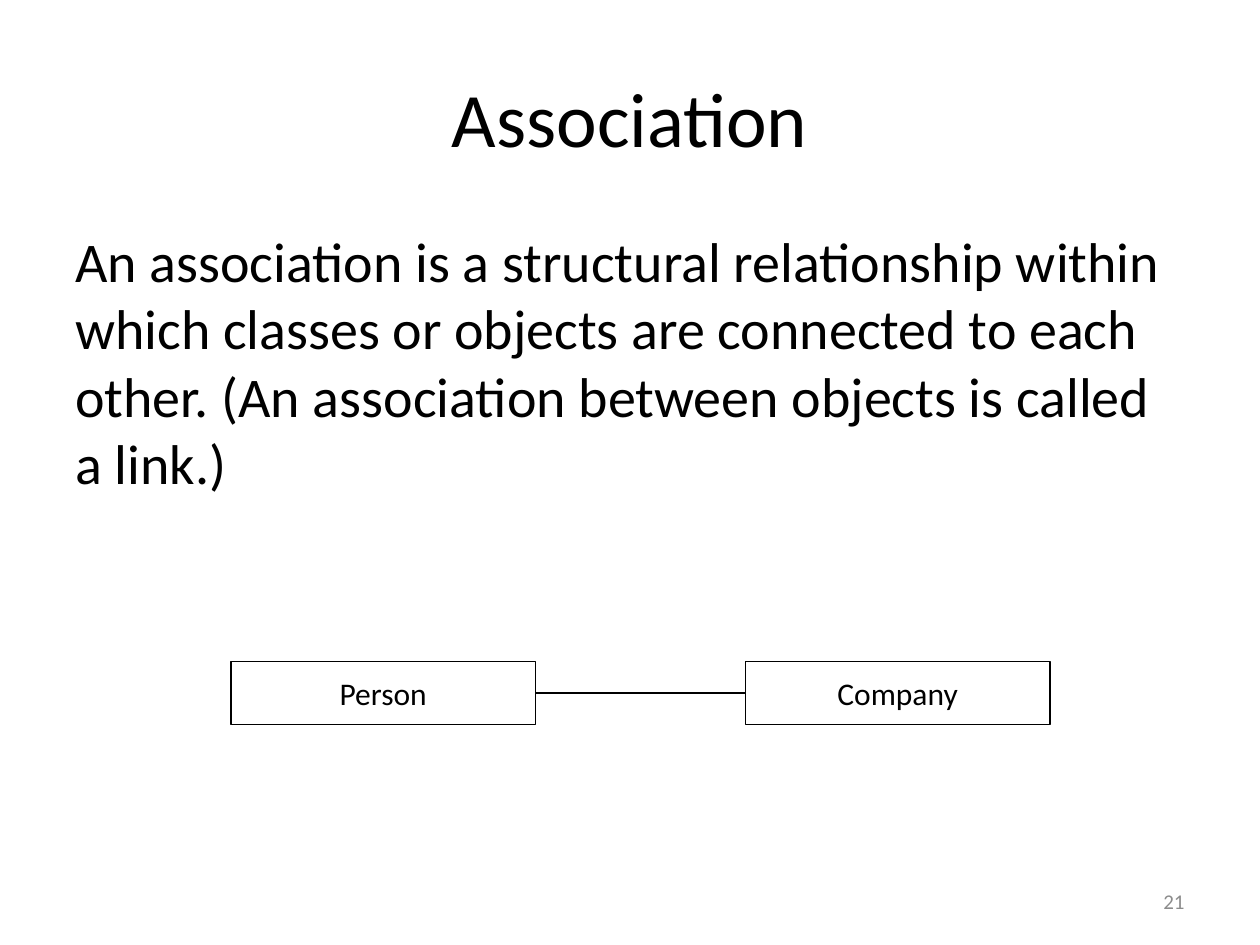
from dataclasses import dataclass

from pptx import Presentation
from pptx.dml.color import RGBColor
from pptx.enum.shapes import MSO_CONNECTOR as Connector, MSO_SHAPE as Preset
from pptx.enum.text import MSO_ANCHOR as Anchor, PP_ALIGN as Align
from pptx.oxml.ns import qn
from pptx.shapes.base import BaseShape
from pptx.slide import Slide
from pptx.util import Inches, Pt
from lxml.etree import SubElement

COLORS = {"ink": "000000", "paper": "FFFFFF", "muted": "8C8C8C"}
FONT = "Calibri"
UNIT = Inches(1) / 12
COLUMNS, ROWS = 120, 90
LINE_WIDTH = Pt(0.75)


@dataclass(frozen=True)
class Area:
    column: float
    row: float
    columns: float
    rows: float

    @property
    def right(self) -> float:
        return self.column + self.columns

    @property
    def middle(self) -> float:
        return self.row + self.rows / 2

    def lengths(self) -> list[int]:
        return [grid(n) for n in (self.column, self.row, self.columns, self.rows)]


@dataclass(frozen=True)
class ClassBox:
    name: str
    area: Area


PERSON = ClassBox("Person", Area(22, 63, 29, 6))
COMPANY = ClassBox("Company", Area(71, 63, 29, 6))
DEFINITION = (
    "An association is a structural relationship within which classes or objects "
    "are connected to each other. (An association between objects is called a link.)"
)


def grid(units: float) -> int:
    return round(units * UNIT)


def color(name: str) -> RGBColor:
    return RGBColor.from_string(COLORS[name])


def write(shape: BaseShape, text: str, *, size: float, ink: str = "ink",
          align: Align = Align.CENTER, anchor: Anchor = Anchor.MIDDLE,
          wrap: bool = True) -> None:
    frame = shape.text_frame
    frame.word_wrap = wrap
    frame.vertical_anchor = anchor
    para = frame.paragraphs[0]
    para.alignment = align
    span = para.add_run()
    span.text = text
    span.font.name = FONT
    span.font.size = Pt(size)
    span.font.color.rgb = color(ink)


def add_text(page: Slide, area: Area, text: str, **style) -> None:
    write(page.shapes.add_textbox(*area.lengths()), text, **style)


def draw_class(page: Slide, item: ClassBox) -> None:
    box = page.shapes.add_shape(Preset.RECTANGLE, *item.area.lengths())
    box.shadow.inherit = False
    box.fill.solid()
    box.fill.fore_color.rgb = color("paper")
    box.line.color.rgb = color("ink")
    box.line.width = LINE_WIDTH
    write(box, item.name, size=18, wrap=False)


def draw_association(page: Slide, start: ClassBox, end: ClassBox) -> None:
    link = page.shapes.add_connector(
        Connector.STRAIGHT,
        grid(start.area.right), grid(start.area.middle),
        grid(end.area.column), grid(end.area.middle),
    )
    link.line.color.rgb = color("ink")
    link.line.width = LINE_WIDTH
    SubElement(link._element.spPr, qn("a:effectLst"))


def main() -> None:
    """Build the association slide and save it."""
    deck = Presentation()
    deck.slide_width, deck.slide_height = grid(COLUMNS), grid(ROWS)
    page = deck.slides.add_slide(deck.slide_layouts[6])
    add_text(page, Area(86, 83.4, 28, 4.8), "21", size=12, ink="muted", align=Align.RIGHT)
    add_text(page, Area(6, 3.6, 108, 15), "Association", size=44)
    add_text(page, Area(6, 21, 108, 59.4), DEFINITION, size=32,
             align=Align.LEFT, anchor=Anchor.TOP)
    for item in (COMPANY, PERSON):
        draw_class(page, item)
    draw_association(page, PERSON, COMPANY)
    deck.save("out.pptx")


if __name__ == "__main__":
    main()
